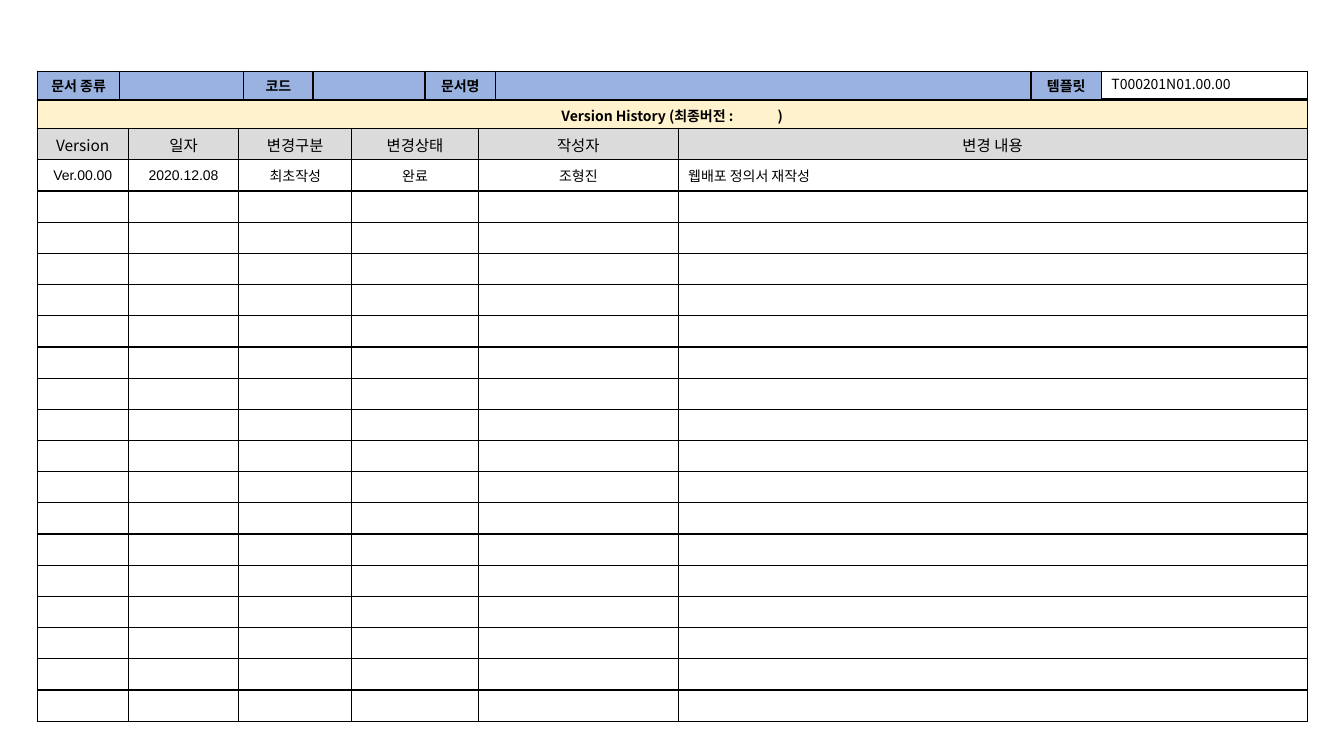
from dataclasses import dataclass
from lxml import etree
from pptx import Presentation
from pptx.dml.color import RGBColor
from pptx.enum.shapes import MSO_SHAPE
from pptx.enum.text import MSO_ANCHOR, PP_ALIGN
from pptx.oxml.ns import qn
from pptx.util import Cm, Pt

RECTANGLE = MSO_SHAPE.RECTANGLE
MIDDLE, TOP = MSO_ANCHOR.MIDDLE, MSO_ANCHOR.TOP
CENTER, LEFT = PP_ALIGN.CENTER, PP_ALIGN.LEFT


@dataclass(frozen=True)
class Theme:
    ink: str = "000000"
    paper: str = "FFFFFF"
    panel: str = "E5F8FF"
    document: str = "99B2DF"
    title: str = "FFF2CC"
    heading: str = "DBDBDB"
    font: str = "Noto Sans CJK KR"
    entry_font: str = "Arial"
    body_size: float = 10
    heading_size: float = 11
    rule: float = 1
    thin_rule: float = 0.75


@dataclass(frozen=True)
class Box:
    left: float
    top: float
    width: float
    height: float

    def lengths(self):
        return Cm(self.left), Cm(self.top), Cm(self.width), Cm(self.height)


THEME = Theme()
DOCUMENT_WIDTHS = [2.08, 3.12, 1.75, 2.82, 1.78, 13.49, 1.78, 5.18]
DOCUMENT_LABELS = ["문서 종류", "", "코드", "", "문서명", "", "템플릿", ""]
HISTORY_WIDTHS = [2.29, 2.79, 2.84, 3.2, 5.03, 15.85]
HISTORY_HEADINGS = ["Version", "일자", "변경구분", "변경상태", "작성자", "변경 내용"]
FIRST_ENTRY = ["Ver.00.00", "2020.12.08", "최초작성", "완료", "조형진", "웹배포 정의서 재작성"]
EMPTY_ENTRIES = 17


def write_text(frame, text, *, size=THEME.body_size, font=THEME.font, bold=False, align=LEFT):
    paragraph = frame.paragraphs[0]
    paragraph.alignment = align
    if not text:
        etree.SubElement(paragraph._p, qn("a:endParaRPr"), sz=str(int(size * 100)))
        return
    run = paragraph.add_run()
    run.text = text
    run.font.size = Pt(size)
    run.font.name = font
    run.font.bold = bold
    run.font.color.rgb = RGBColor.from_string(THEME.ink)
    etree.SubElement(run.font._element, qn("a:ea"), typeface=THEME.font)


def paint_cell(cell, fill):
    properties = cell._tc.get_or_add_tcPr()
    for side in ("lnL", "lnR", "lnT", "lnB"):
        border = etree.SubElement(properties, qn(f"a:{side}"), w=str(Pt(THEME.rule)))
        solid = etree.SubElement(border, qn("a:solidFill"))
        etree.SubElement(solid, qn("a:srgbClr"), val=THEME.ink)
    cell.fill.solid()
    cell.fill.fore_color.rgb = RGBColor.from_string(fill)


def add_grid(slide, box, widths, rows, fills, *, margin_top=0.05, anchor=MIDDLE):
    grid = slide.shapes.add_table(len(rows), len(widths), *box.lengths()).table
    grid.first_row = grid.horz_banding = False
    for column, width in zip(grid.columns, widths):
        column.width = Cm(width)
    for r, (labels, fill) in enumerate(zip(rows, fills)):
        grid.rows[r].height = Cm(box.height / len(rows))
        for c in range(len(labels)):
            cell = grid.cell(r, c)
            cell.margin_top, cell.margin_bottom = Cm(margin_top), Cm(0.05)
            cell.vertical_anchor = anchor
            paint_cell(cell, fill)
    return grid


def add_panel(slide, box, fill, line_width):
    panel = slide.shapes.add_shape(RECTANGLE, *box.lengths())
    panel.shadow.inherit = False
    panel.fill.solid()
    panel.fill.fore_color.rgb = RGBColor.from_string(fill)
    panel.line.color.rgb = RGBColor.from_string(THEME.ink)
    panel.line.width = Pt(line_width)
    return panel


def add_document_bar(slide, box):
    bar = add_grid(slide, box, DOCUMENT_WIDTHS, [DOCUMENT_LABELS], [THEME.document])
    for c, label in enumerate(DOCUMENT_LABELS):
        write_text(bar.cell(0, c).text_frame, label, bold=True, align=CENTER)


def add_title_bar(slide, box):
    title = "Version History (최종버전 :              )"
    bar = add_grid(slide, box, [box.width], [[title]], [THEME.title], margin_top=0.13, anchor=TOP)
    write_text(bar.cell(0, 0).text_frame, title, bold=True, align=CENTER)


def add_template_code(slide, box):
    width = DOCUMENT_WIDTHS[-1]
    code_box = Box(box.left + box.width - width, box.top, width, 0.69)
    frame = add_panel(slide, code_box, THEME.paper, THEME.thin_rule).text_frame
    frame.word_wrap = True
    frame.vertical_anchor = MIDDLE
    frame.margin_top = frame.margin_bottom = Cm(0)
    write_text(frame, "T000201N01.00.00")
    frame.paragraphs[0].line_spacing = 0.9


def add_history(slide, box):
    blank = [""] * len(HISTORY_WIDTHS)
    rows = [HISTORY_HEADINGS, FIRST_ENTRY] + [blank] * EMPTY_ENTRIES
    fills = [THEME.heading] + [THEME.paper] * (len(rows) - 1)
    history = add_grid(slide, box, HISTORY_WIDTHS, rows, fills)
    for r, labels in enumerate(rows):
        style = {"font": THEME.entry_font} if r else {"size": THEME.heading_size}
        for c, label in enumerate(labels):
            is_description = r > 0 and c == len(labels) - 1
            align = LEFT if is_description else CENTER
            write_text(history.cell(r, c).text_frame, label, align=align, **style)


def build_version_history(slide, box):
    bar_height = 0.72
    document_box = Box(box.left, box.top, box.width, bar_height)
    title_box = Box(box.left, box.top + bar_height, box.width, bar_height)
    history_top = box.top + 2 * bar_height
    history_box = Box(box.left, history_top, box.width, box.height - 2 * bar_height)
    add_panel(slide, box, THEME.panel, THEME.rule)
    add_document_bar(slide, document_box)
    add_title_bar(slide, title_box)
    add_template_code(slide, document_box)
    add_history(slide, history_box)


def main():
    deck = Presentation()
    deck.slide_width, deck.slide_height = Cm(33.87), Cm(19.05)
    slide = deck.slides.add_slide(deck.slide_layouts[6])
    build_version_history(slide, Box(0.94, 1.8, 32, 16.38))
    deck.save("out.pptx")


if __name__ == "__main__":
    main()
